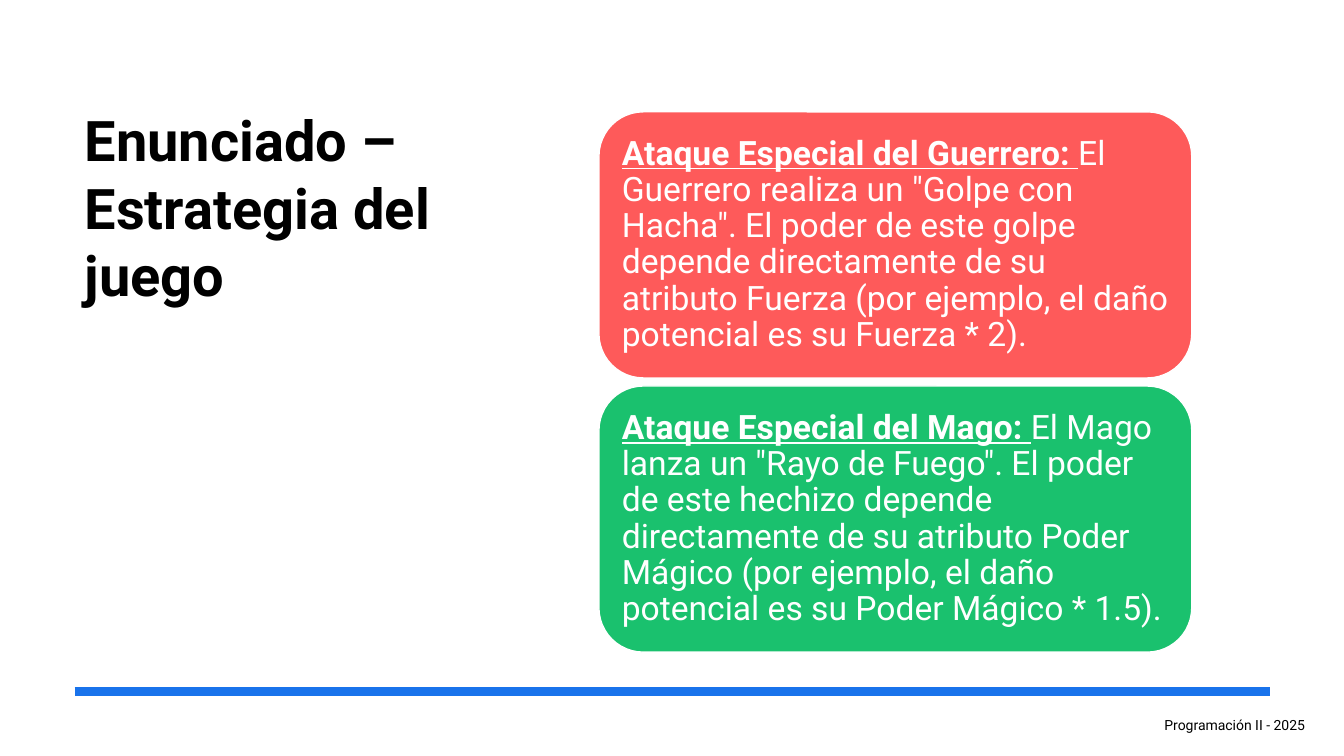
from lxml import etree
from pptx import Presentation
from pptx.dml.color import RGBColor
from pptx.enum.shapes import MSO_CONNECTOR, MSO_SHAPE
from pptx.enum.text import MSO_ANCHOR, MSO_AUTO_SIZE, PP_ALIGN
from pptx.oxml.ns import qn
from pptx.util import Inches, Pt

FONT = "Roboto"
BLACK = RGBColor(0x00, 0x00, 0x00)
WHITE = RGBColor(0xFF, 0xFF, 0xFF)
BLUE = RGBColor(0x19, 0x73, 0xEB)
RED = RGBColor(0xFE, 0x5A, 0x5A)
GREEN = RGBColor(0x1A, 0xC1, 0x6E)

CARD_TOP = 1.11
CARD_PITCH = 2.72
ATTACKS = [
    (RED, "Ataque Especial del Guerrero: ",
     'El Guerrero realiza un "Golpe con Hacha". El poder de este golpe depende '
     "directamente de su atributo Fuerza (por ejemplo, el daño potencial es su "
     "Fuerza * 2)."),
    (GREEN, "Ataque Especial del Mago: ",
     'El Mago lanza un "Rayo de Fuego". El poder de este hechizo depende '
     "directamente de su atributo Poder Mágico (por ejemplo, el daño potencial "
     "es su Poder Mágico * 1.5)."),
]


def add_run(paragraph, text, size, color, bold=False, underline=False):
    run = paragraph.add_run()
    run.text = text
    run.font.name = FONT
    run.font.size = Pt(size)
    run.font.color.rgb = color
    run.font.bold = bold
    run.font.underline = underline


def set_title(slide, text):
    title = slide.shapes.title
    title.left, title.top = Inches(0.74), Inches(1)
    title.width, title.height = Inches(4.02), Inches(4.55)
    frame = title.text_frame
    frame.auto_size = MSO_AUTO_SIZE.NONE
    frame.word_wrap = True
    frame.vertical_anchor = MSO_ANCHOR.TOP
    paragraph = frame.paragraphs[0]
    paragraph.alignment = PP_ALIGN.LEFT
    add_run(paragraph, text, 40, BLACK, bold=True)


def add_card(slide, top, color, heading, description):
    card = slide.shapes.add_shape(
        MSO_SHAPE.ROUNDED_RECTANGLE,
        Inches(5.94), Inches(top), Inches(5.88), Inches(2.64))
    card.shadow.inherit = False
    card.fill.solid()
    card.fill.fore_color.rgb = color
    card.line.color.rgb = WHITE
    card.line.width = Pt(1)
    frame = card.text_frame
    frame.word_wrap = True
    frame.vertical_anchor = MSO_ANCHOR.MIDDLE
    frame.margin_left = frame.margin_right = Inches(0.1)
    frame.margin_top = frame.margin_bottom = Inches(0.1)
    paragraph = frame.paragraphs[0]
    paragraph.alignment = PP_ALIGN.LEFT
    paragraph.line_spacing = 0.9
    add_run(paragraph, heading, 24, WHITE, bold=True, underline=True)
    add_run(paragraph, description, 24, WHITE)


def add_rule(slide):
    rule = slide.shapes.add_connector(
        MSO_CONNECTOR.STRAIGHT,
        Inches(0.74), Inches(6.86), Inches(12.6), Inches(6.86))
    rule.line.color.rgb = BLUE
    rule.line.width = Pt(6)
    etree.SubElement(rule._element.spPr, qn("a:effectLst"))


def add_footer(slide, text):
    footer = slide.shapes.add_textbox(
        Inches(11.45), Inches(7.06), Inches(1.62), Inches(0.27))
    frame = footer.text_frame
    frame.word_wrap = False
    frame.auto_size = MSO_AUTO_SIZE.SHAPE_TO_FIT_TEXT
    add_run(frame.paragraphs[0], text, 10, BLACK)


def main():
    presentation = Presentation()
    presentation.slide_width = Inches(13.33)
    presentation.slide_height = Inches(7.5)
    title_only = presentation.slide_layouts.get_by_name("Title Only")
    slide = presentation.slides.add_slide(title_only)

    set_title(slide, "Enunciado – Estrategia del juego")
    add_rule(slide)
    for index, (color, heading, description) in enumerate(ATTACKS):
        add_card(slide, CARD_TOP + index * CARD_PITCH, color, heading, description)
    add_footer(slide, "Programación II - 2025")
    presentation.save("out.pptx")


if __name__ == "__main__":
    main()
